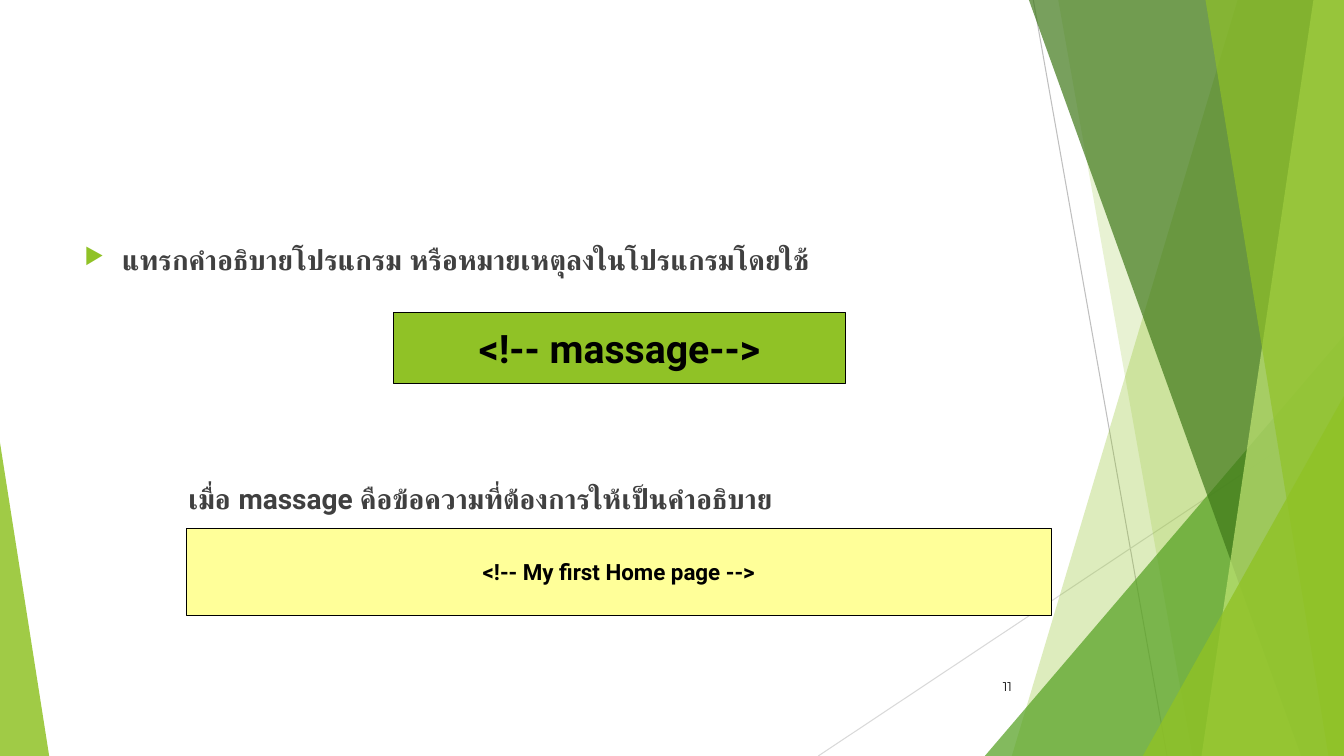
"""Build the slide on inserting comments into a program."""
from dataclasses import dataclass

from lxml.etree import SubElement
from pptx import Presentation
from pptx.dml.color import RGBColor
from pptx.enum.shapes import MSO_CONNECTOR as Connector, MSO_SHAPE as Preset
from pptx.enum.text import MSO_ANCHOR as Anchor, PP_ALIGN as Align
from pptx.oxml.ns import qn
from pptx.shapes.autoshape import Shape
from pptx.slide import Slide
from pptx.text.text import TextFrame
from pptx.util import Cm, Pt

WIDTH, HEIGHT = 33.87, 19.05
GREEN = RGBColor(0x90, 0xC2, 0x26)
MID_GREEN = RGBColor(0x54, 0xA0, 0x21)
DARK_GREEN = RGBColor(0x3F, 0x78, 0x19)
PALE_GREEN = RGBColor(0xC0, 0xE4, 0x74)
YELLOW = RGBColor(0xFF, 0xFF, 0x99)
BLACK = RGBColor(0x00, 0x00, 0x00)
CHARCOAL = RGBColor(0x40, 0x40, 0x40)
GRAY = RGBColor(0xBF, 0xBF, 0xBF)
LIGHT_GRAY = RGBColor(0xD9, 0xD9, 0xD9)

BODY = {"name": "Roboto", "size": Pt(20), "bold": True}
NUMBER = {"name": "Montserrat", "size": Pt(9)}


@dataclass(frozen=True)
class Ray:
    start: tuple[float, float]
    end: tuple[float, float]
    color: RGBColor


@dataclass(frozen=True)
class Band:
    top_x: float
    bottom_x: float
    color: RGBColor
    opacity: int


@dataclass(frozen=True)
class Wedge:
    left: float
    top: float
    width: float
    apex: float
    color: RGBColor
    opacity: int


@dataclass(frozen=True)
class Label:
    text: str
    box: tuple[float, float, float, float]
    style: dict
    color: RGBColor
    align: Align = Align.LEFT
    anchor: Anchor = Anchor.TOP
    bullet: bool = False


@dataclass(frozen=True)
class CodeBox:
    text: str
    box: tuple[float, float, float, float]
    fill: RGBColor
    size: int


RAYS = [
    Ray((26.04, 0), (29.41, HEIGHT), GRAY),
    Ray((WIDTH, 10.24), (20.62, HEIGHT), LIGHT_GRAY),
]
FACETS = [
    Band(31.19, 25.5, GREEN, 30),
    Band(26.67, 30.05, GREEN, 20),
    Wedge(24.82, 8.46, 9.05, 1, MID_GREEN, 72),
    Band(25.93, 32.79, DARK_GREEN, 70),
    Band(33.1, 30.28, PALE_GREEN, 70),
    Band(30.38, 33.48, GREEN, 65),
    Wedge(28.8, 9.98, 5.07, 1, GREEN, 80),
    Wedge(0, 11.15, 1.24, 0, GREEN, 85),
]
LABELS = [
    Label("แทรกคำอธิบายโปรแกรม หรือหมายเหตุลงในโปรแกรมโดยใช้",
          (1.88, 5.99, 23.88, 1.3), BODY, CHARCOAL, bullet=True),
    Label("เมื่อ massage คือข้อความที่ต้องการให้เป็นคำอธิบาย",
          (4.5, 12.02, 21.2, 1.3), BODY, CHARCOAL),
    Label("11", (23.85, 16.79, 1.9, 1.02), NUMBER, BLACK, Align.RIGHT, Anchor.MIDDLE),
]
CODE_BOXES = [
    CodeBox("<!-- massage-->", (9.91, 7.87, 11.4, 1.8), GREEN, 28),
    CodeBox("<!-- My first Home page -->", (4.7, 13.31, 21.79, 2.21), YELLOW, 16),
]


def draw_ray(slide: Slide, ray: Ray) -> None:
    line = slide.shapes.add_connector(Connector.STRAIGHT, *map(Cm, ray.start + ray.end))
    line.line.color.rgb = ray.color
    line.line.width = Pt(0.75)
    SubElement(line._element.spPr, qn("a:effectLst"))


def band_shape(slide: Slide, band: Band) -> Shape:
    outline = slide.shapes.build_freeform(Cm(band.top_x), 0)
    corners = [(WIDTH, 0), (WIDTH, HEIGHT), (band.bottom_x, HEIGHT)]
    outline.add_line_segments([(Cm(x), Cm(y)) for x, y in corners], close=True)
    return outline.convert_to_shape()


def wedge_shape(slide: Slide, wedge: Wedge) -> Shape:
    box = (wedge.left, wedge.top, wedge.width, HEIGHT - wedge.top)
    triangle = slide.shapes.add_shape(Preset.ISOSCELES_TRIANGLE, *map(Cm, box))
    triangle.adjustments[0] = wedge.apex
    return triangle


def draw_facet(slide: Slide, facet: Band | Wedge) -> None:
    build = band_shape if isinstance(facet, Band) else wedge_shape
    shape = build(slide, facet)
    shape.shadow.inherit = False
    shape.line.fill.background()
    shape.fill.solid()
    shape.fill.fore_color.rgb = facet.color
    color = shape._element.spPr.find(qn("a:solidFill"))[0]
    SubElement(color, qn("a:alpha"), val=str(facet.opacity * 1000))


def write_text(frame: TextFrame, label: Label) -> None:
    frame.vertical_anchor = label.anchor
    paragraph = frame.paragraphs[0]
    paragraph.alignment = label.align
    if label.bullet:
        props = paragraph._p.get_or_add_pPr()
        props.set("marL", str(Cm(0.95)))
        props.set("indent", str(-Cm(0.95)))
        SubElement(SubElement(props, qn("a:buClr")), qn("a:srgbClr"), val=str(GREEN))
        SubElement(props, qn("a:buSzPct"), val="80000")
        SubElement(props, qn("a:buChar"), char="▶")
    run = paragraph.add_run()
    run.text = label.text
    for attribute, value in label.style.items():
        setattr(run.font, attribute, value)
    run.font.color.rgb = label.color


def draw_label(slide: Slide, label: Label) -> None:
    frame = slide.shapes.add_textbox(*map(Cm, label.box)).text_frame
    frame.word_wrap = True
    write_text(frame, label)


def draw_code_box(slide: Slide, code: CodeBox) -> None:
    shape = slide.shapes.add_shape(Preset.RECTANGLE, *map(Cm, code.box))
    shape.shadow.inherit = False
    shape.fill.solid()
    shape.fill.fore_color.rgb = code.fill
    shape.line.color.rgb = BLACK
    shape.line.width = Pt(0.75)
    shape.text_frame.word_wrap = False
    style = BODY | {"size": Pt(code.size)}
    write_text(shape.text_frame,
               Label(code.text, code.box, style, BLACK, Align.CENTER, Anchor.MIDDLE))


def main() -> None:
    deck = Presentation()
    deck.slide_width, deck.slide_height = Cm(WIDTH), Cm(HEIGHT)
    slide = deck.slides.add_slide(deck.slide_layouts[6])
    for ray in RAYS:
        draw_ray(slide, ray)
    for facet in FACETS:
        draw_facet(slide, facet)
    for label in LABELS:
        draw_label(slide, label)
    for code in CODE_BOXES:
        draw_code_box(slide, code)
    deck.save("out.pptx")


if __name__ == "__main__":
    main()
